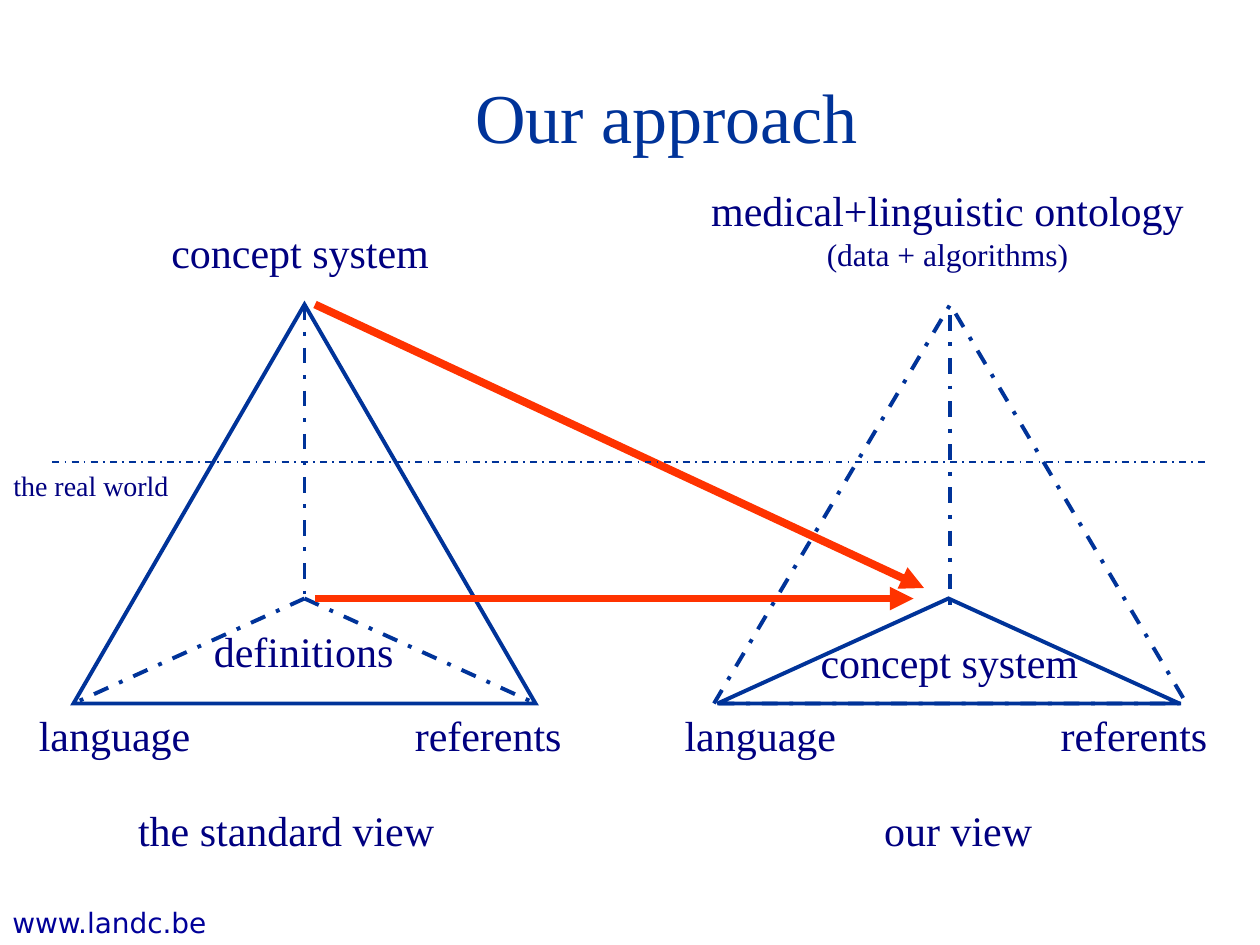
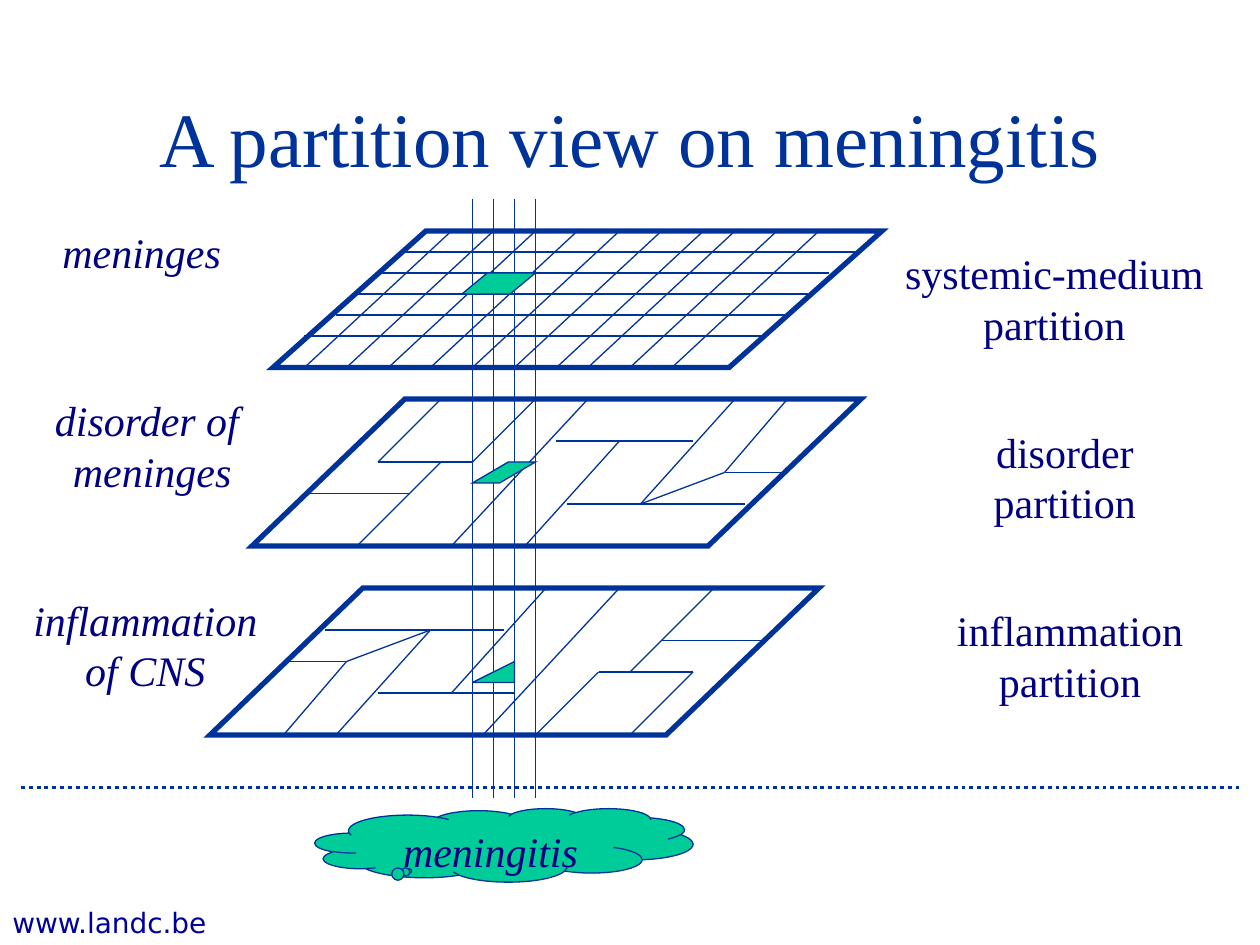
from dataclasses import dataclass
from itertools import chain
from typing import Any, NamedTuple, Optional

from lxml import etree
from pptx import Presentation
from pptx.dml.color import RGBColor
from pptx.enum.dml import MSO_LINE
from pptx.enum.shapes import MSO_CONNECTOR, MSO_SHAPE
from pptx.enum.text import MSO_ANCHOR, MSO_AUTO_SIZE, PP_ALIGN
from pptx.oxml.ns import qn
from pptx.util import Pt

BLUE = RGBColor(0x00, 0x33, 0x99)
NAVY = RGBColor(0x00, 0x00, 0x80)
FOOTER_BLUE = RGBColor(0x00, 0x00, 0x99)
RED = RGBColor(0xFF, 0x33, 0x00)
GREEN = RGBColor(0x00, 0xCC, 0x99)
SERIF = "Times New Roman"
SANS = "DejaVu Sans"

DASH_DOT = MSO_LINE.DASH_DOT
DOTTED = MSO_LINE.ROUND_DOT
STRAIGHT = MSO_CONNECTOR.STRAIGHT
TRIANGLE = MSO_SHAPE.ISOSCELES_TRIANGLE
RIGHT_TRIANGLE = MSO_SHAPE.RIGHT_TRIANGLE
PARALLELOGRAM = MSO_SHAPE.PARALLELOGRAM
CLOUD = MSO_SHAPE.CLOUD_CALLOUT
TOP, MIDDLE = MSO_ANCHOR.TOP, MSO_ANCHOR.MIDDLE
LEFT, CENTER = PP_ALIGN.LEFT, PP_ALIGN.CENTER
FIXED, GROW = MSO_AUTO_SIZE.NONE, MSO_AUTO_SIZE.SHAPE_TO_FIT_TEXT


class Area(NamedTuple):
    left: float
    top: float
    width: float
    height: float


class Segment(NamedTuple):
    x1: float
    y1: float
    x2: float
    y2: float


class Stroke(NamedTuple):
    width: float
    color: RGBColor = BLUE
    dash: Optional[MSO_LINE] = None
    arrow: bool = False


class TextLine(NamedTuple):
    text: str
    size: int = 24


@dataclass(frozen=True)
class Label:
    area: Area
    lines: tuple[TextLine, ...]
    font: str = SERIF
    color: RGBColor = NAVY
    italic: bool = False
    align: PP_ALIGN = CENTER
    anchor: MSO_ANCHOR = TOP
    wrap: bool = False


@dataclass(frozen=True)
class Figure:
    kind: MSO_SHAPE
    area: Area
    stroke: Stroke
    fill: Optional[RGBColor] = None
    adjustments: tuple[float, ...] = ()
    flipped: bool = False


THIN = Stroke(0.75)
MEDIUM = Stroke(2.25)
THICK = Stroke(3)
DASHED = Stroke(2.25, dash=DASH_DOT)
HORIZON = Stroke(1, dash=DASH_DOT)
GROUND = Stroke(2.25, dash=DOTTED)
MAPPING = Stroke(4.5, RED, arrow=True)

FOOTER = Label(Area(0, 514, 144, 26), (TextLine("www.landc.be", 16),),
               SANS, FOOTER_BLUE, align=LEFT, wrap=True)

PYRAMIDS = (
    Figure(TRIANGLE, Area(42, 174, 264, 228), MEDIUM),
    Figure(TRIANGLE, Area(408, 174, 270, 228), DASHED),
    Figure(TRIANGLE, Area(410, 342, 264, 60), MEDIUM),
)
PYRAMID_EDGES = (
    Segment(174, 174, 174, 342),
    Segment(174, 342, 42, 402),
    Segment(174, 342, 306, 402),
    Segment(543, 180, 543, 348),
)
MAPPINGS = (Segment(180, 174, 528, 336), Segment(180, 342, 522, 342))
APPROACH_LABELS = (
    Label(Area(86, 126, 171, 36), (TextLine("concept system"),)),
    Label(Area(110, 354, 127, 36), (TextLine("definitions"),)),
    Label(Area(394, 102, 295, 58),
          (TextLine("medical+linguistic ontology"),
           TextLine("(data + algorithms)", 18))),
    Label(Area(457, 360, 171, 36), (TextLine("concept system"),)),
    Label(Area(67, 456, 193, 36), (TextLine("the standard view"),)),
    Label(Area(493, 456, 109, 36), (TextLine("our view"),)),
    Label(Area(-3, 264, 110, 26), (TextLine("the real world", 16),)),
)
VIEW_LEFTS = (10, 379)

GRID_TOP, GRID_BOTTOM, GRID_SLANT = 132, 210, 84
GRID_ROWS = ((228, 492), (216, 474), (204, 462), (192, 450), (174, 438))
GRID_COLUMNS = tuple(chain(range(258, 403, 24), range(420, 469, 24)))
DISORDER_BORDERS = (
    Segment(252, 228, 216, 264),
    Segment(216, 264, 270, 264),
    Segment(306, 228, 270, 264),
    Segment(252, 264, 204, 312),
    Segment(174, 282, 234, 282),
    Segment(336, 228, 258, 312),
    Segment(318, 252, 396, 252),
    Segment(354, 252, 300, 312),
    Segment(324, 288, 426, 288),
    Segment(420, 228, 366, 288),
    Segment(450, 228, 414, 270),
    Segment(414, 270, 450, 270),
    Segment(414, 270, 366, 288),
)
PLANES = (
    Figure(PARALLELOGRAM, Area(156, 132, 348, 78), THICK, adjustments=(1.12,)),
    Figure(PARALLELOGRAM, Area(144, 228, 348, 84), THICK, adjustments=(1.04,)),
    Figure(PARALLELOGRAM, Area(120, 336, 348, 84), THICK, adjustments=(1.04,)),
)
CELLS = (
    Figure(PARALLELOGRAM, Area(264, 156, 42, 12), THIN, GREEN, (1.21,)),
    Figure(PARALLELOGRAM, Area(270, 264, 36, 12), THIN, GREEN, (1.71,)),
    Figure(RIGHT_TRIANGLE, Area(270, 378, 24, 12), THIN, GREEN, flipped=True),
)
MENINGITIS_CLOUD = Figure(CLOUD, Area(180, 462, 216, 42), THIN, GREEN,
                          (-0.25, 0.35))
MENINGITIS = Label(MENINGITIS_CLOUD.area, (TextLine("meningitis"),),
                   italic=True, wrap=True)
PARTITION_LABELS = (
    Label(Area(505, 138, 195, 65),
          (TextLine("systemic-medium"), TextLine("partition"))),
    Label(Area(555, 240, 107, 65),
          (TextLine("disorder"), TextLine("partition"))),
    Label(Area(535, 342, 153, 65),
          (TextLine("inflammation"), TextLine("partition"))),
    Label(Area(23, 126, 116, 36), (TextLine("meninges"),), italic=True),
    Label(Area(19, 222, 136, 65),
          (TextLine("disorder of "), TextLine("meninges")), italic=True),
    Label(Area(6, 336, 154, 65),
          (TextLine("inflammation"), TextLine("of CNS")), italic=True),
)


def points(values: tuple[float, ...]) -> list[Pt]:
    return [Pt(value) for value in values]


def apply_formats(target: Any, formats: dict[str, Any]) -> None:
    for name, value in formats.items():
        setattr(target, name, value)


def apply_stroke(shape: Any, stroke: Stroke) -> None:
    line = shape.line
    line.color.rgb = stroke.color
    apply_formats(line, {"width": Pt(stroke.width), "dash_style": stroke.dash})
    outline = shape._element.spPr.find(qn("a:ln"))
    etree.SubElement(outline, qn("a:miter"), lim="800000")
    if stroke.arrow:
        etree.SubElement(outline, qn("a:tailEnd"), type="triangle")


def write_text(shape: Any, label: Label) -> None:
    frame = shape.text_frame
    apply_formats(frame, {"word_wrap": label.wrap,
                          "auto_size": FIXED if label.wrap else GROW,
                          "vertical_anchor": label.anchor})
    for index, line in enumerate(label.lines):
        para = frame.add_paragraph() if index else frame.paragraphs[0]
        para.alignment = label.align
        span = para.add_run()
        span.text = line.text
        apply_formats(span.font, {"name": label.font, "size": Pt(line.size),
                                  "italic": label.italic})
        span.font.color.rgb = label.color


def add_label(page: Any, label: Label) -> None:
    write_text(page.shapes.add_textbox(*points(label.area)), label)


def add_figure(page: Any, figure: Figure) -> Any:
    shape = page.shapes.add_shape(figure.kind, *points(figure.area))
    shape.shadow.inherit = False
    for index, value in enumerate(figure.adjustments):
        shape.adjustments[index] = value
    if figure.fill is None:
        shape.fill.background()
    else:
        shape.fill.solid()
        shape.fill.fore_color.rgb = figure.fill
    if figure.flipped:
        shape._element.spPr.find(qn("a:xfrm")).set("flipH", "1")
    apply_stroke(shape, figure.stroke)
    return shape


def add_line(page: Any, segment: Segment, stroke: Stroke = THIN) -> None:
    connector = page.shapes.add_connector(STRAIGHT, *points(segment))
    apply_stroke(connector, stroke)
    etree.SubElement(connector._element.spPr, qn("a:effectLst"))


def add_page(deck: Any, title: str, area: Area, size: int) -> Any:
    page = deck.slides.add_slide(deck.slide_layouts[6])
    add_label(page, FOOTER)
    add_label(page, Label(area, (TextLine(title, size),), color=BLUE,
                          anchor=MIDDLE, wrap=True))
    return page


def half_turn(segment: Segment) -> Segment:
    return Segment(612 - segment.x1, 648 - segment.y1,
                   612 - segment.x2, 648 - segment.y2)


def build_approach(deck: Any) -> None:
    page = add_page(deck, "Our approach", Area(132, 36, 498, 60), 40)
    for pyramid in PYRAMIDS:
        add_figure(page, pyramid)
    for edge in PYRAMID_EDGES:
        add_line(page, edge, DASHED)
    for label in APPROACH_LABELS:
        add_label(page, label)
    for left in VIEW_LEFTS:
        add_label(page, Label(Area(left, 402, 111, 36),
                              (TextLine("language"),)))
        add_label(page, Label(Area(left + 214, 402, 110, 36),
                              (TextLine("referents"),)))
    for mapping in MAPPINGS:
        add_line(page, mapping, MAPPING)
    add_line(page, Segment(30, 264, 690, 264), HORIZON)


def build_partitions(deck: Any) -> None:
    page = add_page(deck, "A partition view on meningitis",
                    Area(63, 48, 594, 60), 44)
    for plane in PLANES:
        add_figure(page, plane)
    for row, (start, end) in enumerate(GRID_ROWS, 1):
        height = GRID_TOP + 12 * row
        add_line(page, Segment(start, height, end, height))
    for column in GRID_COLUMNS:
        add_line(page, Segment(column, GRID_TOP,
                               column - GRID_SLANT, GRID_BOTTOM))
    for border in DISORDER_BORDERS:
        add_line(page, border)
        add_line(page, half_turn(border))
    for projection in range(270, 307, 12):
        add_line(page, Segment(projection, 114, projection, 456))
    for cell in CELLS:
        add_figure(page, cell)
    for label in PARTITION_LABELS:
        add_label(page, label)
    write_text(add_figure(page, MENINGITIS_CLOUD), MENINGITIS)
    add_line(page, Segment(12, 450, 708, 450), GROUND)


def main() -> None:
    deck = Presentation()
    apply_formats(deck, {"slide_width": Pt(720), "slide_height": Pt(540)})
    build_approach(deck)
    build_partitions(deck)
    deck.save("out.pptx")


if __name__ == "__main__":
    main()
